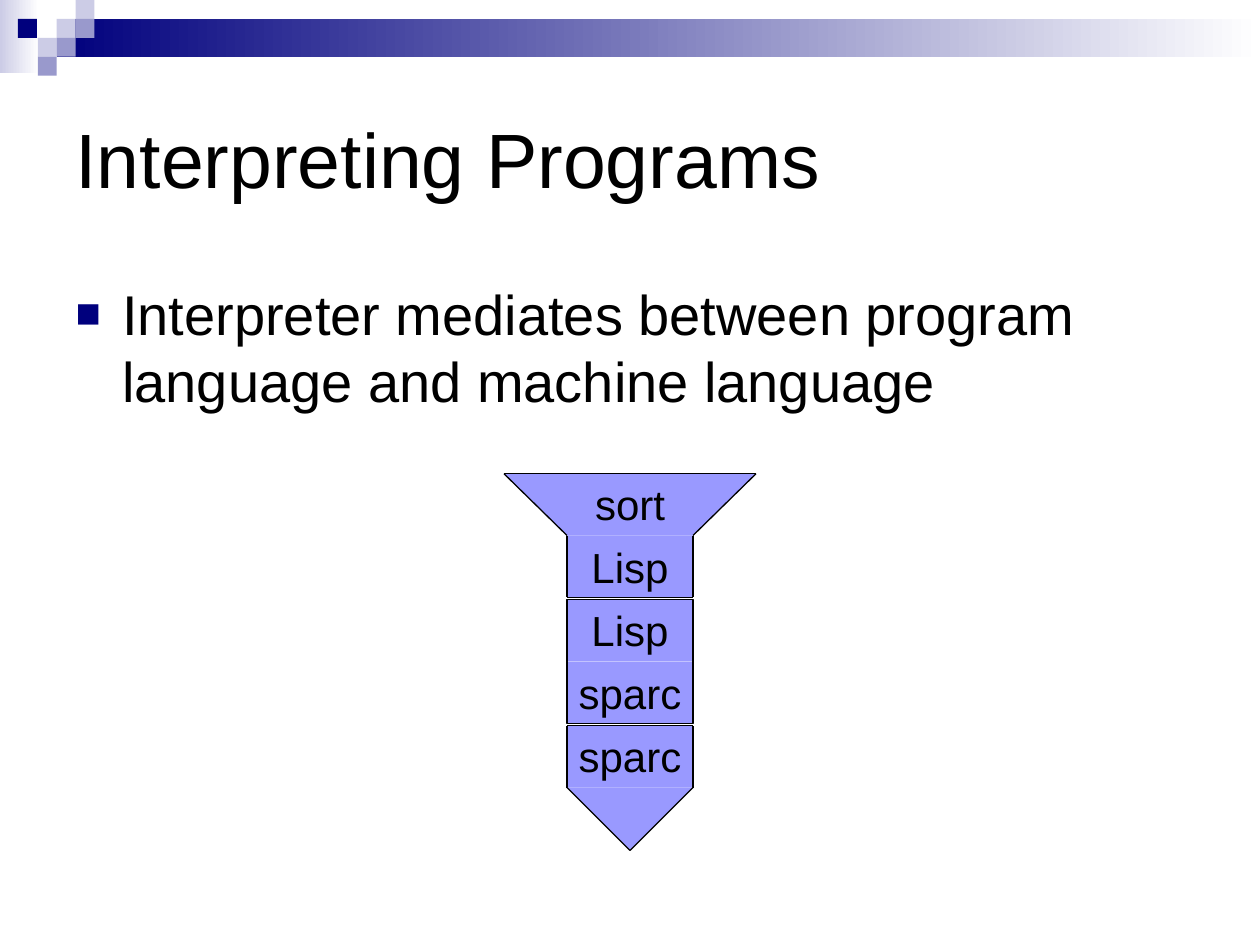
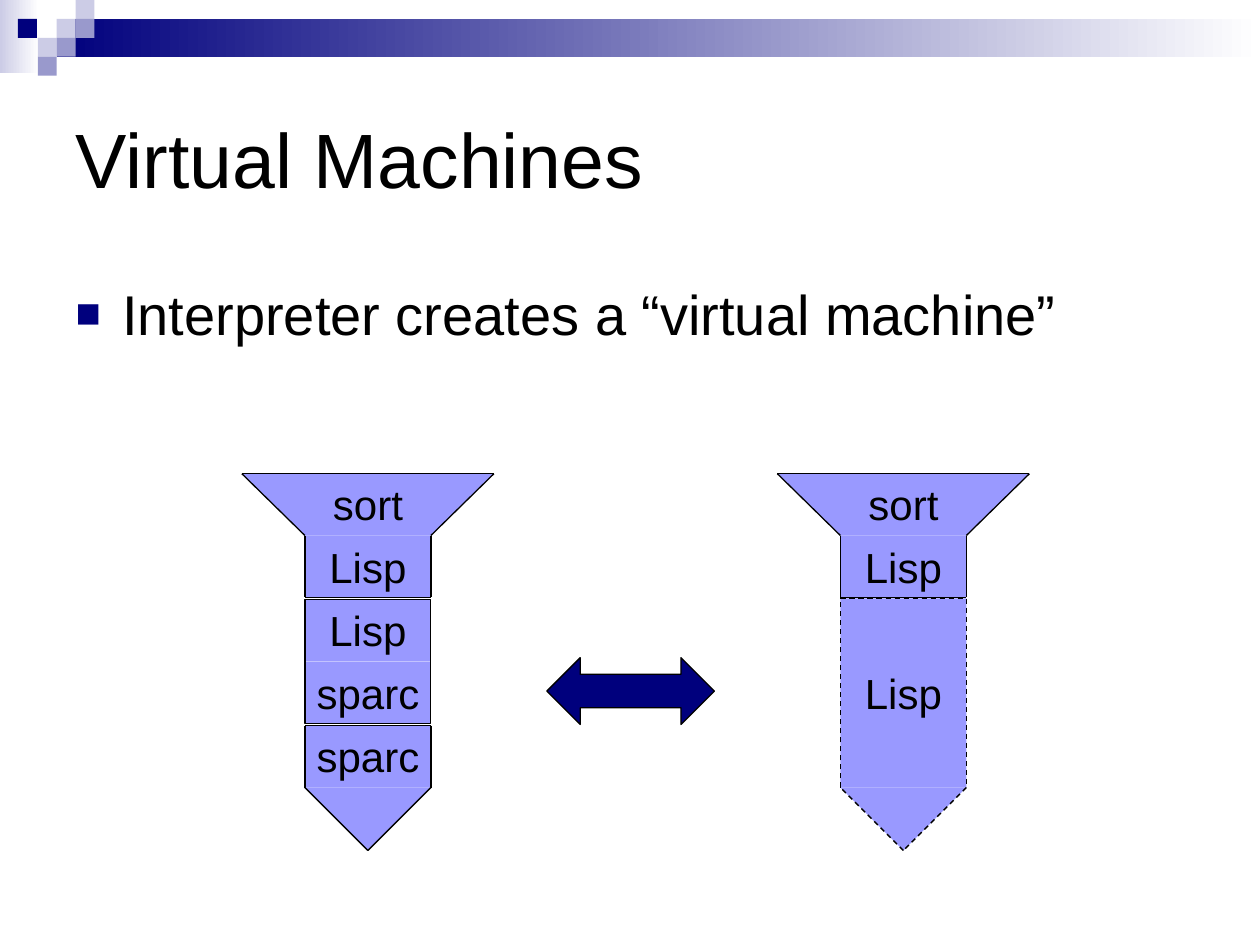
from itertools import pairwise

from lxml import etree
from pptx import Presentation
from pptx.dml.color import RGBColor
from pptx.enum.dml import MSO_LINE
from pptx.enum.shapes import MSO_CONNECTOR, MSO_SHAPE
from pptx.enum.text import MSO_ANCHOR, MSO_AUTO_SIZE, PP_ALIGN
from pptx.oxml.ns import qn
from pptx.util import Inches, Pt

RECTANGLE = MSO_SHAPE.RECTANGLE
TRIANGLE_DOWN = MSO_SHAPE.FLOWCHART_MERGE
DOUBLE_ARROW = MSO_SHAPE.LEFT_RIGHT_ARROW
STRAIGHT = MSO_CONNECTOR.STRAIGHT
DASH = MSO_LINE.DASH
LEFT, CENTER = PP_ALIGN.LEFT, PP_ALIGN.CENTER
TOP, MIDDLE = MSO_ANCHOR.TOP, MSO_ANCHOR.MIDDLE
NO_AUTOSIZE = MSO_AUTO_SIZE.NONE

COLORS = {
    "text": "000000",
    "navy": "00007D",
    "mist": "CCCCE6",
    "slate": "9999CC",
    "block": "9999FF",
    "white": "FFFFFF",
}
FONT = "Arial"
LINE_WIDTH = 0.75
TILE = 0.15
ROW = 0.5
EDGE = 0.01
DIAGRAM_TOP = 3.75
LABEL_WIDTHS = {"sort": 0.75, "Lisp": 0.81, "sparc": 1.01}


def color(name):
    return RGBColor.from_string(COLORS[name])


def place(shape, left, top, width, height):
    shape.left, shape.top = Inches(left), Inches(top)
    shape.width, shape.height = Inches(width), Inches(height)


def write_text(shape, text, size=24, align=LEFT, anchor=MIDDLE, wrap=True, bullet=False):
    frame = shape.text_frame
    frame.auto_size = NO_AUTOSIZE
    frame.word_wrap = wrap
    frame.vertical_anchor = anchor
    paragraph = frame.paragraphs[0]
    paragraph.text = text
    if bullet:
        add_bullet(paragraph)
    paragraph.alignment = align
    paragraph.space_before = Pt(0)
    paragraph.font.name = FONT
    paragraph.font.size = Pt(size)
    paragraph.font.color.rgb = color("text")


def add_bullet(paragraph):
    properties = paragraph._p.get_or_add_pPr()
    properties.set("marL", str(Inches(0.37)))
    properties.set("indent", str(-Inches(0.37)))
    bullet_color = etree.SubElement(properties, qn("a:buClr"))
    etree.SubElement(bullet_color, qn("a:srgbClr"), val=COLORS["navy"])
    etree.SubElement(properties, qn("a:buSzPct"), val="75000")
    etree.SubElement(properties, qn("a:buFont"), typeface=FONT)
    etree.SubElement(properties, qn("a:buChar"), char="■")


def paint(shape, fill=None, line=None, fade=False):
    shape.shadow.inherit = False
    if fade:
        shape.fill.gradient()
        shape.fill.gradient_angle = 180
        for stop, name in zip(shape.fill.gradient_stops, ("white", fill)):
            stop.color.rgb = color(name)
    elif fill:
        shape.fill.solid()
        shape.fill.fore_color.rgb = color(fill)
    else:
        shape.fill.background()
    if line:
        shape.line.color.rgb = color(line)
        shape.line.width = Pt(LINE_WIDTH)
    else:
        shape.line.fill.background()
    return shape


def add_block(slide, left, top, width, height, kind=RECTANGLE, **style):
    shape = slide.shapes.add_shape(
        kind, Inches(left), Inches(top), Inches(width), Inches(height))
    return paint(shape, **style)


def add_label(slide, text, middle, top):
    width = LABEL_WIDTHS[text]
    box = slide.shapes.add_textbox(
        Inches(middle - width / 2), Inches(top), Inches(width), Inches(ROW))
    write_text(box, text, align=CENTER, wrap=False)


def add_polygon(slide, points):
    corners = [(Inches(x), Inches(y)) for x, y in points]
    builder = slide.shapes.build_freeform(*corners[0])
    builder.add_line_segments(corners[1:], close=True)
    paint(builder.convert_to_shape(), fill="block")


def add_outline(slide, points, dash=None):
    for start, end in pairwise(points + points[:1]):
        connector = slide.shapes.add_connector(
            STRAIGHT, *(Inches(value) for value in start + end))
        connector.line.color.rgb = color("text")
        connector.line.width = Pt(LINE_WIDTH)
        if dash:
            connector.line.dash_style = dash
        etree.SubElement(connector._element.spPr, qn("a:effectLst"))


def decorate_layout(layout, slide):
    tiles = [(3, 1, "mist"), (4, 0, "mist"), (4, 1, "slate"), (2, 2, "mist"),
             (0.95, 1, "navy"), (3, 2, "slate"), (2, 3, "slate")]
    band = [
        add_block(slide, 0, 0, 0.31, 0.58, fill="mist", fade=True),
        add_block(slide, 3 * TILE, TILE, 10 - 3 * TILE, 2 * TILE, fill="navy", fade=True),
    ]
    band += [add_block(slide, column * TILE, row * TILE, TILE, TILE, fill=name)
             for column, row, name in tiles]
    for position, shape in enumerate(band, start=2):
        layout.shapes.element.insert(position, shape.element)
    title, body = layout.placeholders[0], layout.placeholders[1]
    place(title, 0.5, 0.5, 9, 1.5)
    place(body, 0.5, 2.17, 9, 4.25)


def add_content_slide(presentation, layout, title, statement):
    slide = presentation.slides.add_slide(layout)
    write_text(slide.shapes.title, title, size=44)
    write_text(slide.placeholders[1], statement, size=32, anchor=TOP, bullet=True)
    return slide


def add_program(slide, left, top):
    right, middle = left + 2, left + 1
    upper, neck, bottom = top + EDGE, top + ROW, top + 2 * ROW - EDGE
    funnel = [(left, upper), (right, upper), (right - 0.5, neck), (left + 0.5, neck)]
    add_block(slide, left + 0.5, neck, 1, ROW - EDGE, fill="block")
    add_label(slide, "Lisp", middle, neck)
    add_polygon(slide, funnel)
    add_label(slide, "sort", middle, top)
    add_outline(slide, funnel[:3] + [(right - 0.5, bottom), (left + 0.5, bottom)] + funnel[3:])


def add_machine(slide, left, top):
    upper, shoulder = top + EDGE, top + ROW
    tip = [(left + 1, shoulder), (left + 0.5, top + 2 * ROW), (left, shoulder)]
    add_block(slide, left, upper, 1, ROW - EDGE, fill="block")
    add_label(slide, "sparc", left + 0.5, top)
    add_polygon(slide, tip)
    add_outline(slide, [(left, upper), (left + 1, upper)] + tip)


def add_interpreter(slide, left, top):
    for row, (language, offset) in enumerate((("Lisp", EDGE), ("sparc", 0))):
        row_top = top + row * ROW
        add_block(slide, left, row_top + offset, 1, ROW - EDGE, fill="block")
        add_label(slide, language, left + 0.5, row_top)
    add_block(slide, left, top + EDGE, 1, 2 * ROW - 2 * EDGE, line="text")


def add_interpreted_stack(slide, left, top):
    add_program(slide, left, top)
    add_machine(slide, left + 0.5, top + 4 * ROW)
    add_interpreter(slide, left + 0.5, top + 2 * ROW)


def add_virtual_machine(slide, left, top):
    shoulder = top + 3 * ROW
    add_block(slide, left, shoulder, 1, ROW, kind=TRIANGLE_DOWN, fill="block")
    add_block(slide, left, top, 1, 3 * ROW, fill="block")
    add_label(slide, "Lisp", left + 0.5, top + ROW)
    add_outline(slide, [(left, top), (left + 1, top), (left + 1, shoulder),
                        (left + 0.5, shoulder + ROW), (left, shoulder)], dash=DASH)


def main():
    presentation = Presentation()
    presentation.slide_width, presentation.slide_height = Inches(10), Inches(7.5)
    layout = presentation.slide_layouts[1]

    interpreting = add_content_slide(
        presentation, layout, "Interpreting Programs",
        "Interpreter mediates between program language and machine language")
    decorate_layout(layout, interpreting)
    add_interpreted_stack(interpreting, 4, DIAGRAM_TOP)

    virtual = add_content_slide(
        presentation, layout, "Virtual Machines", "Interpreter creates a “virtual machine”")
    add_interpreted_stack(virtual, 1.92, DIAGRAM_TOP)
    add_program(virtual, 6.17, DIAGRAM_TOP)
    add_virtual_machine(virtual, 6.67, DIAGRAM_TOP + 2 * ROW)
    add_block(virtual, 4.34, 5.22, 1.33, 0.53, kind=DOUBLE_ARROW, fill="navy", line="text")

    presentation.save("out.pptx")


if __name__ == "__main__":
    main()
